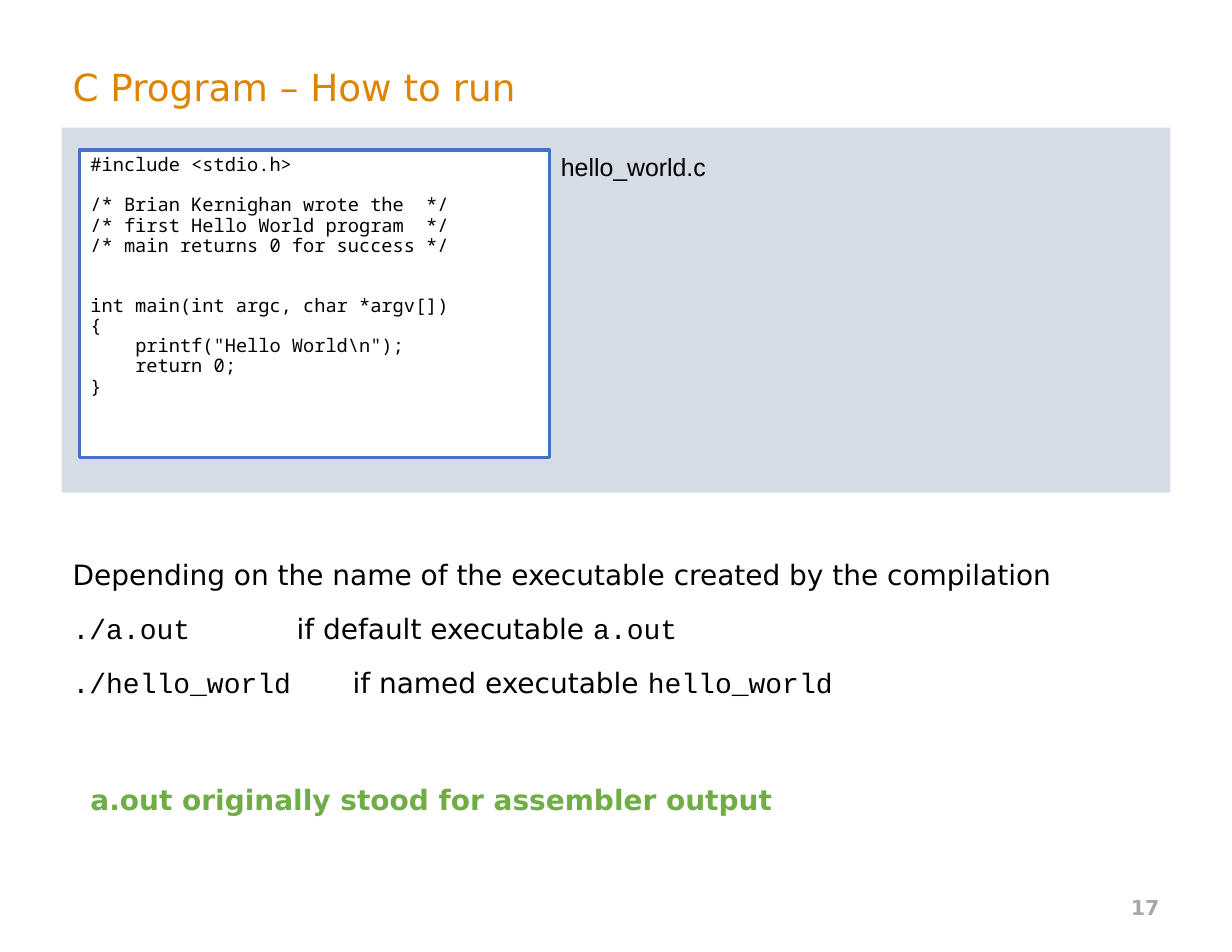
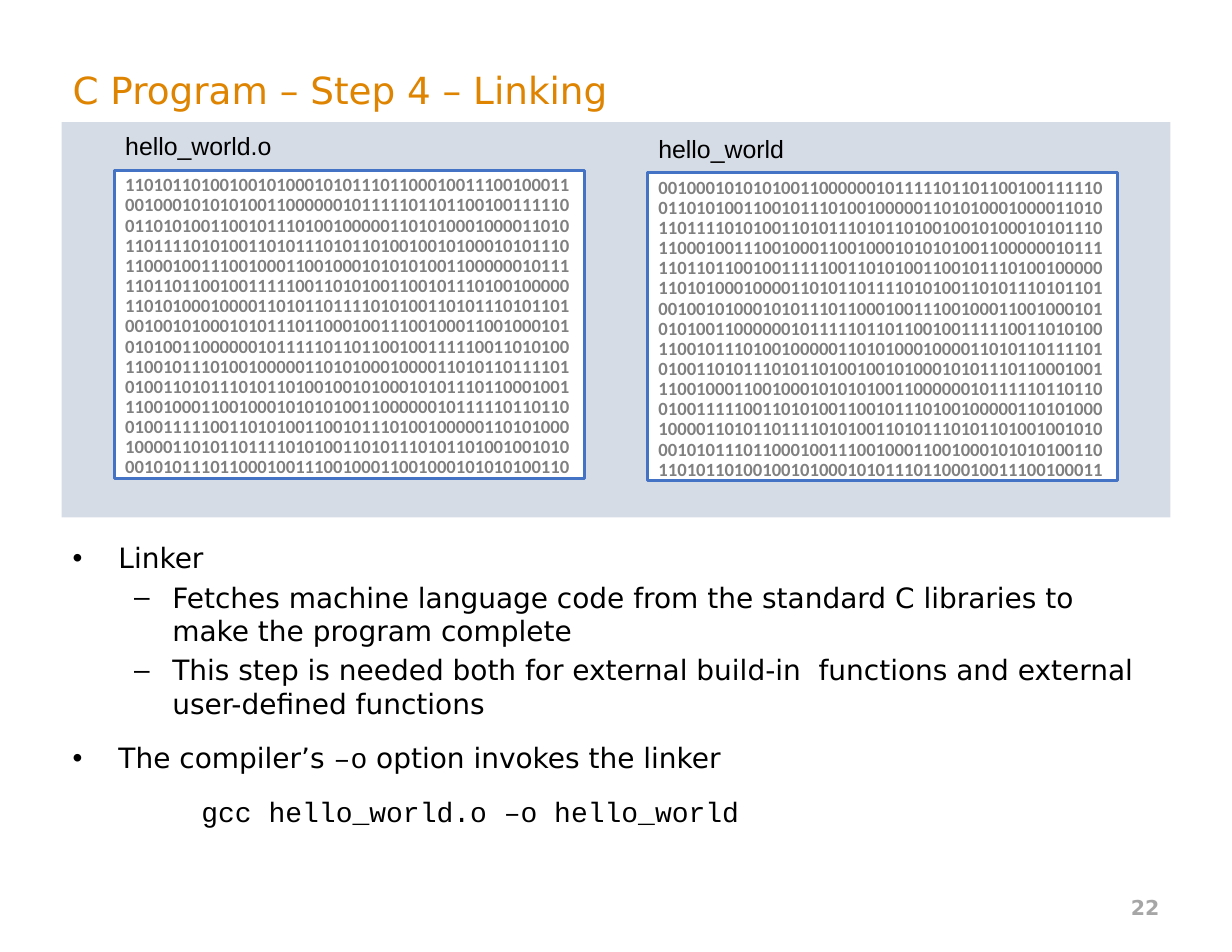
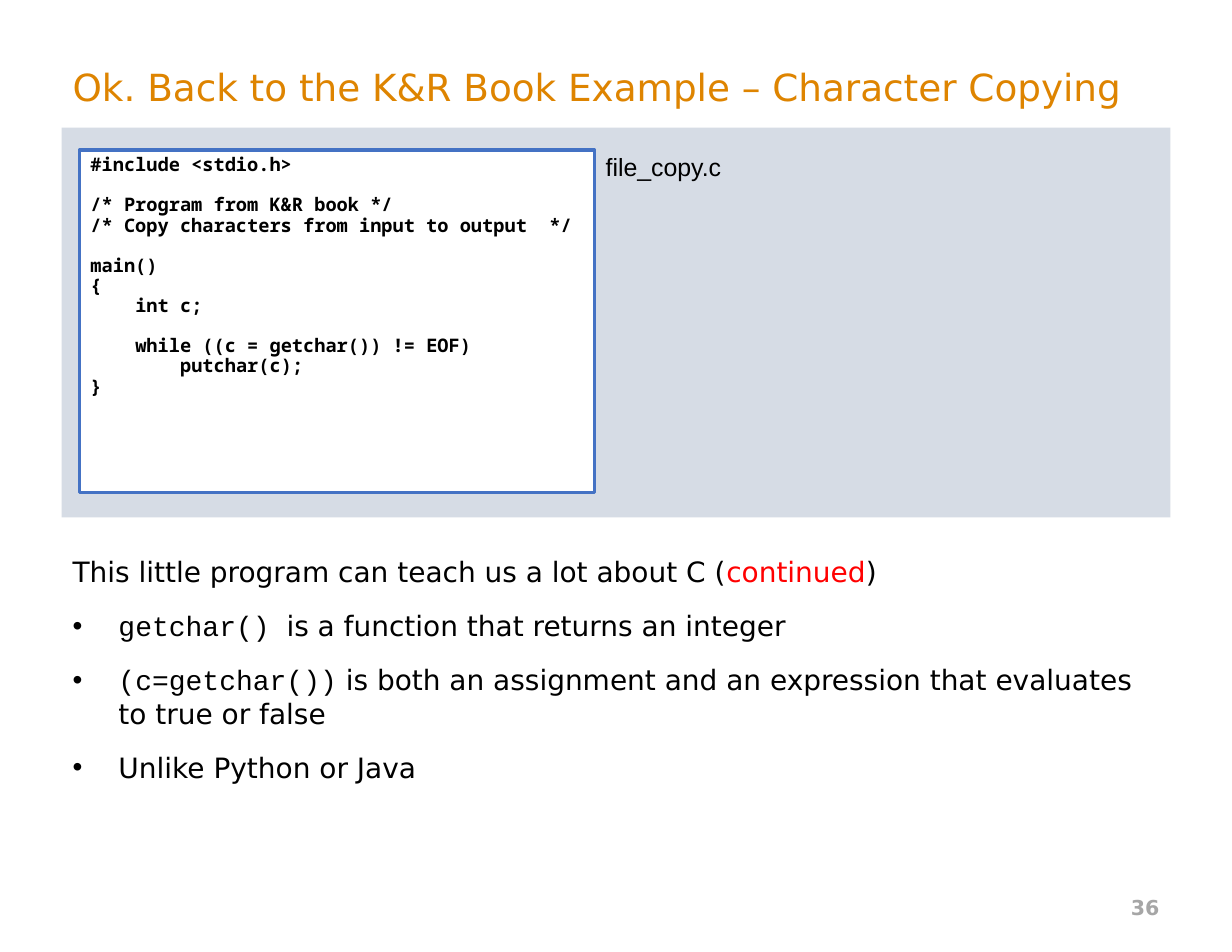
from lxml.etree import SubElement
from pptx import Presentation
from pptx.dml.color import RGBColor
from pptx.enum.shapes import MSO_SHAPE
from pptx.enum.text import MSO_ANCHOR, MSO_AUTO_SIZE, PP_ALIGN
from pptx.oxml.ns import qn
from pptx.util import Inches, Pt

WIDTH, HEIGHT = Inches(11), Inches(8.5)
MARGIN, CONTENT = 5, 90
CODE_LEFT, CODE_TOP = 6.45, 15.76
COLORS = {
    "title": "DE8400",
    "number": "A6A6A6",
    "panel": "D6DCE5",
    "paper": "FFFFFF",
    "border": "4472C4",
    "text": "000000",
    "binary": "808080",
    "note": "70AD47",
    "alert": "FF0000",
}
SANS, MONO, CODE, LABEL, BINARY = (
    "DejaVu Sans", "Courier New", "Noto Sans Mono", "Arial", "Calibri")

BULLETS = {"•": (0.41, -0.41, 13.2), "–": (0.89, -0.34, 3.6)}

HELLO_CODE = """#include <stdio.h>

/* Brian Kernighan wrote the  */
/* first Hello World program  */
/* main returns 0 for success */


int main(int argc, char *argv[])
{
    printf("Hello World\\n");
    return 0;
}"""

COPY_CODE = """#include <stdio.h>

/* Program from K&R book */
/* Copy characters from input to output  */

main()
{
    int c;

    while ((c = getchar()) != EOF)
        putchar(c);
}"""

FIRST_BITS = "11010110100100101000101011101100010011100100011"
BIT_CYCLE = (
    FIRST_BITS
    + "00100010101010011000000101111101101100100111110"
    + "01101010011001011101001000001101010001000011010"
    + "1101111010100110101"
)
OBJECT_BITS = (BIT_CYCLE * 5)[:15 * len(FIRST_BITS)]
PROGRAM_BITS = OBJECT_BITS[len(FIRST_BITS):] + FIRST_BITS


def color(name):
    return RGBColor.from_string(COLORS[name])


def place(left, top, width, height):
    return (int(WIDTH * left / 100), int(HEIGHT * top / 100),
            int(WIDTH * width / 100), int(HEIGHT * height / 100))


def add_run(paragraph, text, size, font=SANS, tone="text", bold=False):
    run = paragraph.add_run()
    run.text = text
    run.font.size = Pt(size)
    run.font.name = font
    run.font.bold = bold
    run.font.color.rgb = color(tone)


def next_paragraph(frame):
    first = frame.paragraphs[0]
    return frame.add_paragraph() if first.runs else first


def set_indent(paragraph, left, first=0):
    properties = paragraph._p.get_or_add_pPr()
    properties.set("marL", str(Inches(left)))
    properties.set("indent", str(Inches(first)))
    return properties


def add_text_box(slide, area, wrap=True):
    frame = slide.shapes.add_textbox(*place(*area)).text_frame
    frame.word_wrap = wrap
    return frame


def add_rectangle(slide, area, fill):
    shape = slide.shapes.add_shape(MSO_SHAPE.RECTANGLE, *place(*area))
    shape.shadow.inherit = False
    shape.fill.solid()
    shape.fill.fore_color.rgb = color(fill)
    shape.line.fill.background()
    return shape


def add_title(slide, text, top):
    frame = add_text_box(slide, (MARGIN, top, CONTENT, 10.24))
    frame.vertical_anchor = MSO_ANCHOR.MIDDLE
    add_run(frame.paragraphs[0], text, 24, tone="title")


def add_slide_number(slide, number):
    frame = add_text_box(slide, (71.64, 92.71, 23.36, 5.29))
    frame.vertical_anchor = MSO_ANCHOR.MIDDLE
    frame.paragraphs[0].alignment = PP_ALIGN.RIGHT
    add_run(frame.paragraphs[0], str(number), 13.2, tone="number", bold=True)


def add_frame_slide(presentation, title, number, panel_top, panel_height, title_top=4):
    slide = presentation.slides.add_slide(presentation.slide_layouts[6])
    add_title(slide, title, title_top)
    add_slide_number(slide, number)
    add_rectangle(slide, (MARGIN, panel_top, CONTENT, panel_height), "panel")
    return slide


def add_listing_box(slide, area):
    shape = add_rectangle(slide, area, "paper")
    shape.line.color.rgb = color("border")
    shape.line.width = Pt(2)
    frame = shape.text_frame
    frame.word_wrap = True
    frame.vertical_anchor = MSO_ANCHOR.TOP
    return frame


def add_code(slide, area, code, bold=False):
    frame = add_listing_box(slide, area)
    gap = 0
    for line in code.split("\n"):
        if not line:
            gap += 1
            continue
        paragraph = next_paragraph(frame)
        paragraph.alignment = PP_ALIGN.LEFT
        paragraph.line_spacing = 0.9
        paragraph.space_before = Pt(12.9 * gap)
        gap = 0
        statement = line.lstrip()
        set_indent(paragraph, (len(line) - len(statement)) * 0.1)
        add_run(paragraph, statement, 12, CODE, bold=bold)


def add_bits(slide, area, bits):
    paragraph = add_listing_box(slide, area).paragraphs[0]
    paragraph.alignment = PP_ALIGN.LEFT
    paragraph.line_spacing = 0.9
    add_run(paragraph, bits, 12, BINARY, "binary", True)


def add_label(slide, area, text, size=16, font=LABEL, tone="text", bold=False):
    frame = add_text_box(slide, area, wrap=False)
    frame.auto_size = MSO_AUTO_SIZE.SHAPE_TO_FIT_TEXT
    frame.paragraphs[0].line_spacing = 0.9
    add_run(frame.paragraphs[0], text, size, font, tone, bold)


def add_body(slide, top, height, items):
    frame = add_text_box(slide, (MARGIN, top, CONTENT, height))
    for bullet, *runs in items:
        paragraph = next_paragraph(frame)
        left, first, space = BULLETS.get(bullet, (0, 0, 13.2))
        paragraph.space_before = Pt(space)
        if bullet:
            properties = set_indent(paragraph, left, first)
            SubElement(properties, qn("a:buFont"), typeface=LABEL)
            SubElement(properties, qn("a:buChar"), char=bullet)
        for text, *style in runs:
            add_run(paragraph, text, 18, *style)
    return frame


def build_running(presentation):
    slide = add_frame_slide(presentation, "C Program – How to run", 17, 13.41, 38.35)
    add_code(slide, (CODE_LEFT, CODE_TOP, 38.18, 32.35), HELLO_CODE)
    add_label(slide, (44.64, CODE_TOP, 13.73, 4), "hello_world.c")
    add_body(slide, 58, 22.35, [
        ("", ("Depending on the name of the executable created by the compilation",)),
        ("", ("./a.out\t\t", MONO), ("if default executable ",), ("a.out", MONO)),
        ("", ("./hello_world\t\t", MONO), ("if named executable ",), ("hello_world", MONO)),
    ])
    add_label(slide, (CODE_LEFT, 82, 57.18, 4.35),
              "a.out originally stood for assembler output", 18, SANS, "note", True)


def build_linking(presentation):
    slide = add_frame_slide(
        presentation, "C Program – Step 4 – Linking", 22, 12.82, 41.53, 4.24)
    frame = add_body(slide, 56.24, 36.47, [
        ("•", ("Linker",)),
        ("–", ("Fetches machine language code from the standard C libraries "
               "to make the program complete",)),
        ("–", ("This step is needed both for external build-in  functions "
               "and external user-defined functions",)),
        ("•", ("The compiler’s ",), ("–o", MONO), (" option invokes the linker",)),
        ("", ("gcc hello_world.o –o hello_world", MONO)),
    ])
    set_indent(frame.paragraphs[-1], 1.15)
    for name, bits, left, top, label_width in (
        ("hello_world", PROGRAM_BITS, 52.55, 18.12, 12.09),
        ("hello_world.o", OBJECT_BITS, 9.27, 17.88, 13.82),
    ):
        add_bits(slide, (left, top, 38.18, 32.35), bits)
        add_label(slide, (left, top - 4.35, label_width, 4), name)


def build_copying(presentation):
    slide = add_frame_slide(
        presentation, "Ok. Back to the K&R Book Example – Character Copying",
        36, 13.41, 40.94)
    add_body(slide, 57.65, 31.65, [
        ("", ("This little program can teach us a lot about C (",),
         ("continued", SANS, "alert"), (")",)),
        ("•", ("getchar() ", MONO), ("is a function that returns an integer",)),
        ("•", ("(c=getchar())", MONO),
         (" is both an assignment and an expression that evaluates to true or false",)),
        ("•", ("Unlike Python or Java",)),
    ])
    add_code(slide, (CODE_LEFT, CODE_TOP, 41.82, 36), COPY_CODE, bold=True)
    add_label(slide, (48.27, CODE_TOP, 11.27, 4), "file_copy.c")


def main():
    presentation = Presentation()
    presentation.slide_width = WIDTH
    presentation.slide_height = HEIGHT
    build_running(presentation)
    build_linking(presentation)
    build_copying(presentation)
    presentation.save("out.pptx")


if __name__ == "__main__":
    main()
